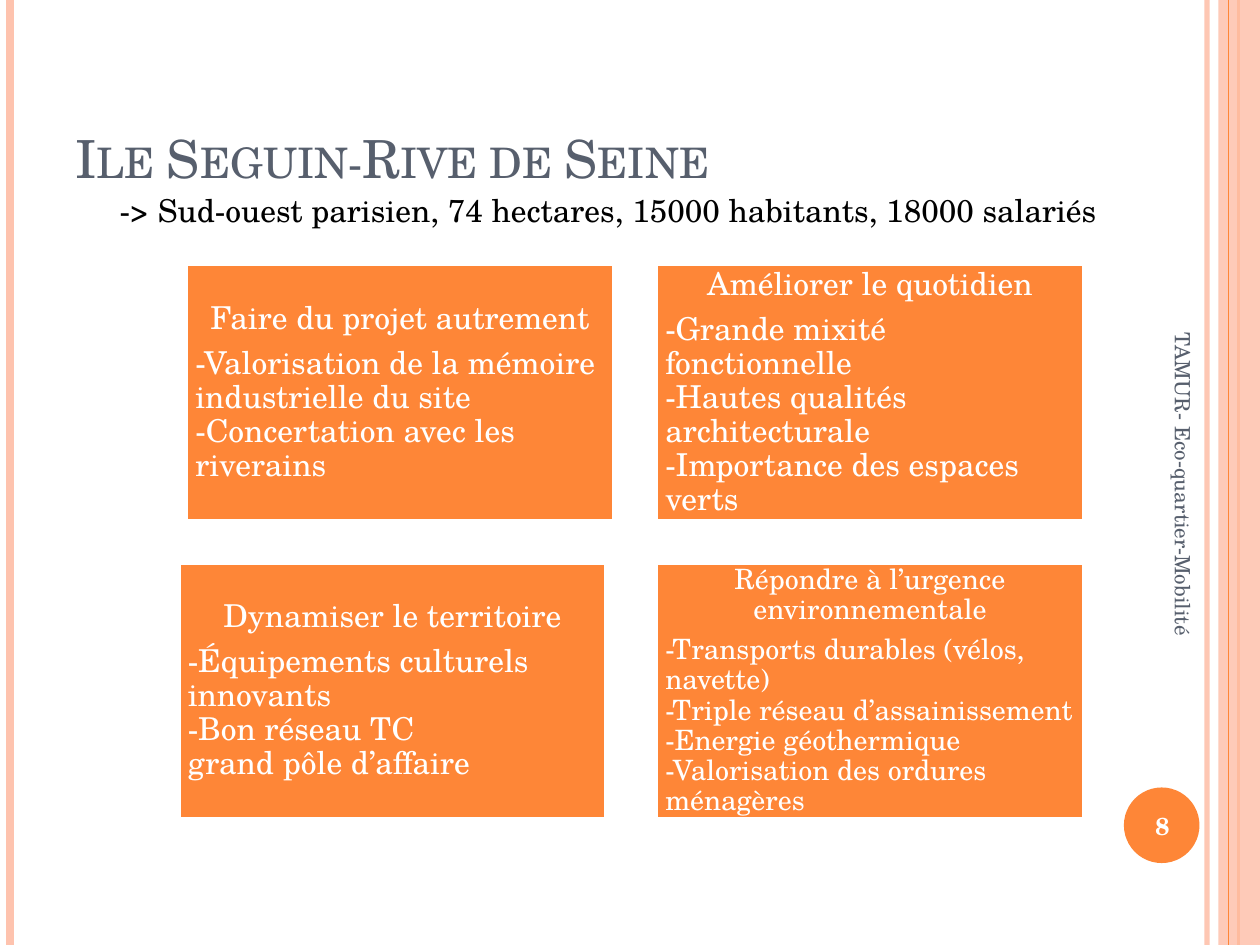
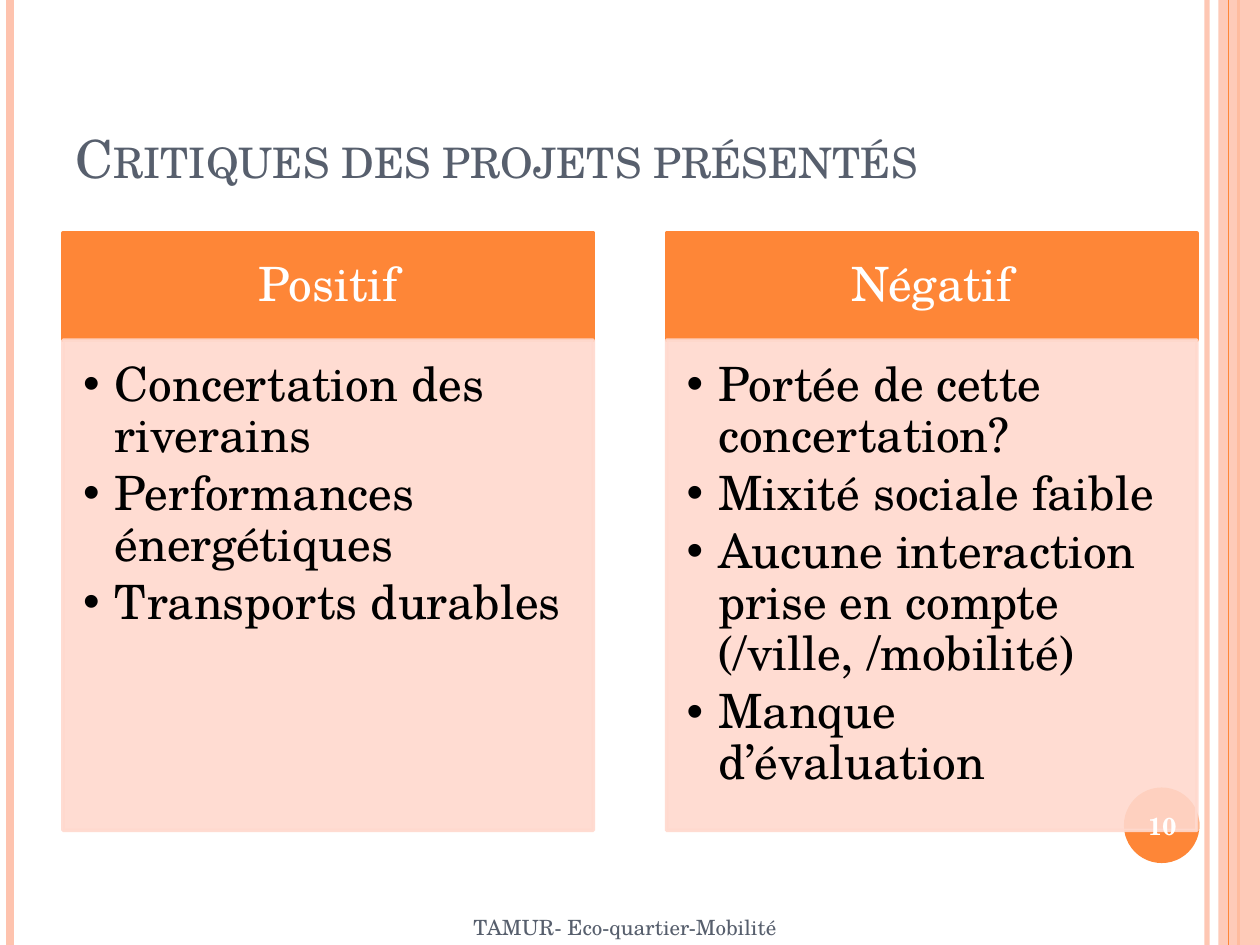
from dataclasses import dataclass

from lxml import etree
from pptx import Presentation
from pptx.dml.color import RGBColor
from pptx.enum.shapes import MSO_CONNECTOR, MSO_SHAPE
from pptx.enum.text import MSO_ANCHOR, MSO_AUTO_SIZE, PP_ALIGN
from pptx.oxml.ns import qn
from pptx.util import Inches, Pt

LEFT, CENTER = PP_ALIGN.LEFT, PP_ALIGN.CENTER
TOP, MIDDLE, BOTTOM = MSO_ANCHOR.TOP, MSO_ANCHOR.MIDDLE, MSO_ANCHOR.BOTTOM
NO_AUTOFIT = MSO_AUTO_SIZE.NONE
RECTANGLE, OVAL = MSO_SHAPE.RECTANGLE, MSO_SHAPE.OVAL
STRAIGHT = MSO_CONNECTOR.STRAIGHT
TITLE_ONLY, COMPARISON = 5, 4


@dataclass(frozen=True)
class Theme:
    font: str = "TeX Gyre Schola"
    orange: str = "FE8637"
    peach: str = "FEC3AE"
    panel: str = "FFD9CE"
    slate: str = "575F6D"
    white: str = "FFFFFF"
    black: str = "000000"
    title: int = 30
    column: int = 27
    card: int = 18
    small_card: int = 16
    number: int = 14
    footer: int = 12
    tight: float = 0.9


THEME = Theme()

FOOTER = "TAMUR- Eco-quartier-Mobilité"
SITE = {
    "title": "Ile Seguin-Rive de Seine",
    "number": "8",
    "footer": ((7.64, 4.09, 3.5, 0.4), 90),
    "facts": "-> Sud-ouest parisien, 74 hectares, 15000 habitants, 18000 salariés",
    "goals": [
        ("Faire du projet autrement", THEME.card, 0,
         ["-Valorisation de la mémoire industrielle du site",
          "-Concertation avec les riverains"]),
        ("Améliorer le quotidien", THEME.card, 0,
         ["-Grande mixité fonctionnelle",
          "-Hautes qualités architecturale",
          "-Importance des espaces verts"]),
        ("Dynamiser le territoire", THEME.card, -0.06,
         ["-Équipements culturels innovants",
          "-Bon réseau TC",
          "grand pôle d’affaire"]),
        ("Répondre à l’urgence environnementale", THEME.small_card, 0,
         ["-Transports durables (vélos, navette)",
          "-Triple réseau d’assainissement",
          "-Energie géothermique",
          "-Valorisation des ordures ménagères"]),
    ],
}
REVIEW = {
    "title": "Critiques des projets présentés",
    "number": "10",
    "footer": ((3.66, 7.21, 4.66, 0.29), 0),
    "columns": [
        ("Positif",
         ["Concertation des riverains",
          "Performances énergétiques",
          "Transports durables"]),
        ("Négatif",
         ["Portée de cette concertation?",
          "Mixité sociale faible",
          "Aucune interaction prise en compte (/ville, /mobilité)",
          "Manque d’évaluation"]),
    ],
}

RULES = [(9.58, THEME.peach, 3, 93), (0.08, THEME.peach, 4.5, 100),
         (9.83, THEME.orange, 1.5, 100)]
EDGE_RULE = (9.75, THEME.orange, 0.75, 100)
EDGE_BAND = (9.67, 0, 0.33, 7.5)
BADGE = (8.92, 6.25, 0.6, 0.6)
NUMBER_BOX = (8.89, 6.27, 0.67, 0.57)
TITLE_BOX = (0.5, 0.3, 8.17, 1.25)
FACTS_BOX = (0.35, 1.47, 9.21, 0.4)
CARD_LEFT, CARD_TOP, CARD_WIDTH, CARD_HEIGHT, CARD_GAP = 1.48, 2.1, 3.39, 2.03, 0.34
COLUMN_LEFT, COLUMN_WIDTH, COLUMN_GAP = 0.5, 4.21, 0.58
HEADER_TOP, HEADER_HEIGHT, PANEL_HEIGHT = 1.85, 0.85, 3.89


def rgb(color):
    return RGBColor.from_string(color)


def fade(shape, percent):
    for color in shape.element.spPr.iter(qn("a:srgbClr")):
        etree.SubElement(color, qn("a:alpha"), val=str(percent * 1000))


def place(shape, box):
    shape.left, shape.top, shape.width, shape.height = map(Inches, box)


def paint(shape, fill, border=None):
    shape.fill.solid()
    shape.fill.fore_color.rgb = rgb(fill)
    if border:
        shape.line.color.rgb = rgb(border)
        shape.line.width = Pt(2)
    else:
        shape.line.fill.background()


def add_block(slide, kind, box, fill, border=None):
    block = slide.shapes.add_shape(kind, *map(Inches, box))
    block.shadow.inherit = False
    paint(block, fill, border)
    return block


def add_rule(slide, x, color, width, opacity):
    rule = slide.shapes.add_connector(
        STRAIGHT, Inches(x), 0, Inches(x), Inches(7.5))
    rule.line.color.rgb = rgb(color)
    rule.line.width = Pt(width)
    etree.SubElement(rule.element.spPr, qn("a:effectLst"))
    if opacity < 100:
        fade(rule, opacity)


def set_frame(shape, anchor, insets=(0.1, 0.05, 0.1, 0.05)):
    frame = shape.text_frame
    frame.word_wrap = True
    frame.auto_size = NO_AUTOFIT
    frame.vertical_anchor = anchor
    (frame.margin_left, frame.margin_top,
     frame.margin_right, frame.margin_bottom) = map(Inches, insets)
    return frame


def write(paragraph, lines, size, color, align=LEFT, bold=False, spacing=1.0, after=0):
    paragraph.alignment = align
    paragraph.line_spacing = spacing
    paragraph.space_before = Pt(0)
    paragraph.space_after = Pt(round(size * after, 1))
    for index, line in enumerate(lines):
        if index:
            paragraph.add_line_break()
        run = paragraph.add_run()
        run.text = line
        run.font.name = THEME.font
        run.font.size = Pt(size)
        run.font.bold = bold
        run.font.color.rgb = rgb(color)


def indent(paragraph, margin, first=0, bullet=None):
    properties = paragraph._p.get_or_add_pPr()
    properties.set("marL", str(Inches(margin)))
    properties.set("indent", str(Inches(first)))
    if bullet:
        etree.SubElement(properties, qn("a:buFont"), typeface="Arial")
        etree.SubElement(properties, qn("a:buChar"), char=bullet)


def add_label(slide, box, text, size, color, anchor=MIDDLE, align=LEFT, bold=False):
    label = slide.shapes.add_textbox(*map(Inches, box))
    paragraph = set_frame(label, anchor).paragraphs[0]
    write(paragraph, [text], size, color, align, bold)
    return label


def start_slide(deck, layout, content):
    slide = deck.slides.add_slide(deck.slide_layouts[layout])
    for rule in RULES:
        add_rule(slide, *rule)
    fade(add_block(slide, RECTANGLE, EDGE_BAND, THEME.peach), 87)
    add_rule(slide, *EDGE_RULE)
    add_block(slide, OVAL, BADGE, THEME.orange)

    for placeholder in list(slide.placeholders):
        placeholder.element.getparent().append(placeholder.element)
    title = slide.shapes.title
    place(title, TITLE_BOX)
    paragraph = set_frame(title, BOTTOM).paragraphs[0]
    write(paragraph, [content["title"]], THEME.title, THEME.slate)
    paragraph.runs[0].font._element.set("cap", "small")
    return slide


def finish_slide(slide, content):
    add_label(slide, NUMBER_BOX, content["number"], THEME.number, THEME.white,
              align=CENTER, bold=True)
    box, angle = content["footer"]
    footer = add_label(slide, box, FOOTER, THEME.footer, THEME.slate)
    footer.rotation = angle


def build_site(deck):
    slide = start_slide(deck, TITLE_ONLY, SITE)
    for index, (heading, size, shift, points) in enumerate(SITE["goals"]):
        row, column = divmod(index, 2)
        box = (CARD_LEFT + column * (CARD_WIDTH + CARD_GAP) + shift,
               CARD_TOP + row * (CARD_HEIGHT + CARD_GAP), CARD_WIDTH, CARD_HEIGHT)
        card = add_block(slide, RECTANGLE, box, THEME.orange, THEME.white)
        frame = set_frame(card, MIDDLE, (0.07,) * 4)
        write(frame.paragraphs[0], [heading], size, THEME.white, CENTER,
              spacing=THEME.tight, after=0.35)
        write(frame.add_paragraph(), points, size, THEME.white,
              spacing=THEME.tight, after=0.35)
    facts = add_label(slide, FACTS_BOX, SITE["facts"], THEME.card, THEME.black, TOP)
    indent(facts.text_frame.paragraphs[0], 0.5)
    finish_slide(slide, SITE)


def build_review(deck):
    slide = start_slide(deck, COMPARISON, REVIEW)
    parts = {part.placeholder_format.idx: part for part in slide.placeholders}
    for index, (heading, points) in enumerate(REVIEW["columns"]):
        left = COLUMN_LEFT + index * (COLUMN_WIDTH + COLUMN_GAP)
        header, panel = parts[1 + 2 * index], parts[2 + 2 * index]
        place(header, (left, HEADER_TOP, COLUMN_WIDTH, HEADER_HEIGHT))
        paint(header, THEME.orange, THEME.orange)
        frame = set_frame(header, MIDDLE, (0.21, 0.12, 0.21, 0.12))
        write(frame.paragraphs[0], [heading], THEME.column, THEME.white, CENTER,
              spacing=THEME.tight, after=0.35)

        place(panel, (left, HEADER_TOP + HEADER_HEIGHT, COLUMN_WIDTH, PANEL_HEIGHT))
        paint(panel, THEME.panel, THEME.panel)
        fade(panel, 90)
        frame = set_frame(panel, TOP, (0.16, 0.16, 0.21, 0.24))
        for position, point in enumerate(points):
            paragraph = frame.add_paragraph() if position else frame.paragraphs[0]
            write(paragraph, [point], THEME.column, THEME.black,
                  spacing=THEME.tight, after=0.15)
            indent(paragraph, 0.25, -0.25, "•")
    finish_slide(slide, REVIEW)


deck = Presentation()
deck.slide_width, deck.slide_height = Inches(10), Inches(7.5)
build_site(deck)
build_review(deck)
deck.save("out.pptx")
